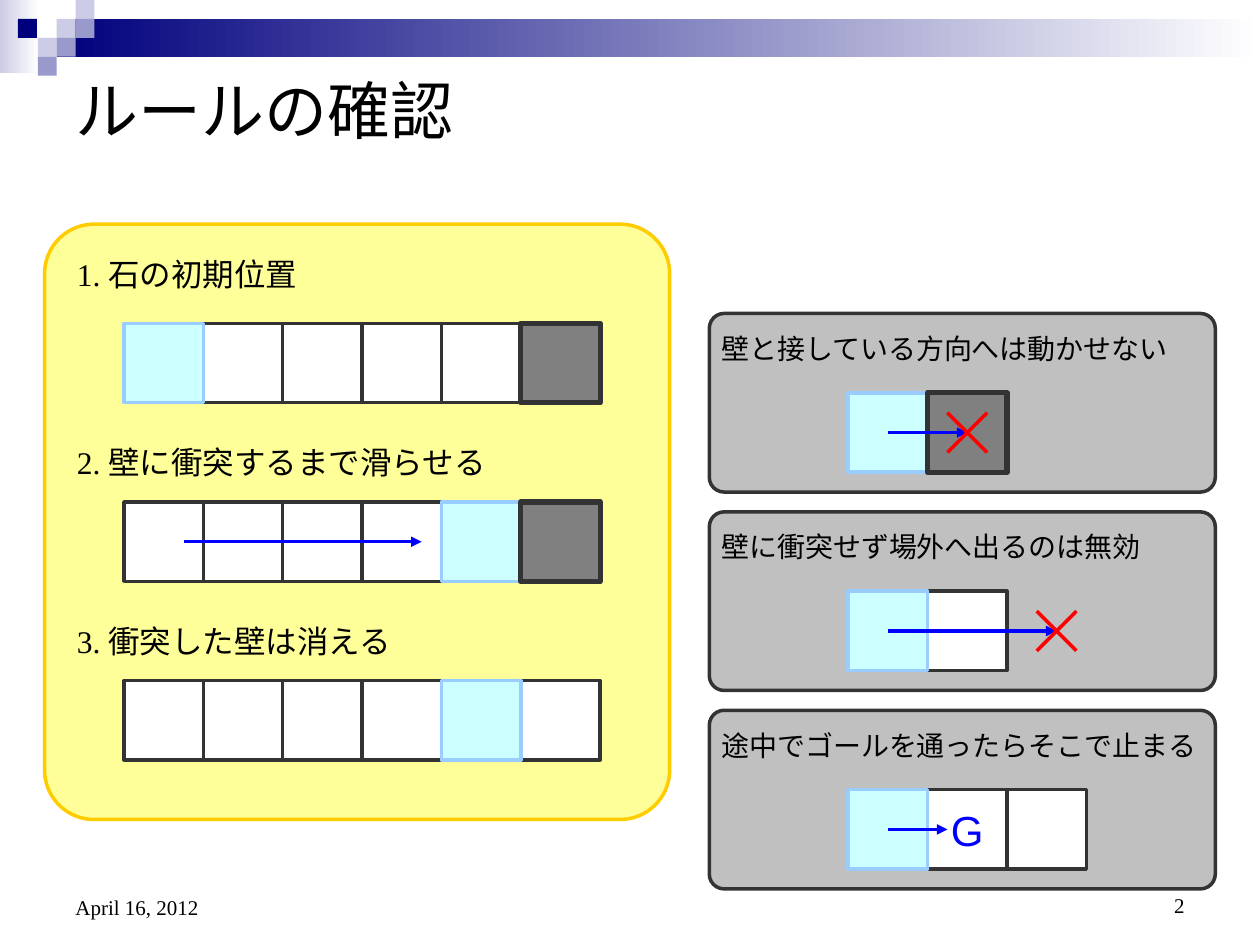
from dataclasses import dataclass

from lxml import etree
from pptx import Presentation
from pptx.dml import color as dml
from pptx.enum import shapes, text
from pptx.oxml import ns
from pptx.util import Inches, Pt


@dataclass(frozen=True)
class Theme:
    navy: str = "00007D"
    mauve: str = "9999CC"
    pale: str = "CCCCE6"
    white: str = "FFFFFF"
    black: str = "000000"
    dark: str = "333333"
    grey: str = "808080"
    silver: str = "C0C0C0"
    cream: str = "FFFF99"
    gold: str = "FFCC00"
    ice: str = "CCFFFF"
    sky: str = "99CCFF"
    blue: str = "0000FF"
    red: str = "FF0000"
    sans: str = "Arial"
    serif: str = "Times New Roman"
    title: int = 36
    goal: int = 24
    step: int = 18
    note: int = 16
    foot: int = 12
    thin: int = 2
    thick: int = 3


@dataclass(frozen=True)
class Box:
    x: float
    y: float
    w: float
    h: float
    unit: float

    def sub(self, col, row, wide, high):
        k = self.unit
        return Box(self.x + col * k, self.y + row * k, wide * k, high * k, k)

    def rect(self):
        return [Inches(v) for v in (self.x, self.y, self.w, self.h)]


T = Theme()
WIDE, HIGH = 10, 7.5
UNIT = WIDE / 63.5
TILE = WIDE * 0.015
CELL = 4
KINDS = {
    ".": (T.white, T.dark, T.thin),
    "G": (T.white, T.dark, T.thin),
    "S": (T.ice, T.sky, T.thin),
    "W": (T.grey, T.dark, T.thick),
}


def put(item, **form):
    for name, value in form.items():
        setattr(item, name, value)


def tint(name):
    return dml.RGBColor.from_string(name)


def block(slide, box, fill, line=None, size=T.thin, curve=None, fade=None):
    kind = shapes.MSO_SHAPE.RECTANGLE if curve is None else shapes.MSO_SHAPE.ROUNDED_RECTANGLE
    shape = slide.shapes.add_shape(kind, *box.rect())
    shape.shadow.inherit = False
    if curve is not None:
        shape.adjustments[0] = curve
    if fade:
        shape.fill.gradient()
        shape.fill.gradient_angle = 0
        for stop, name in zip(shape.fill.gradient_stops, (fill, fade)):
            stop.color.rgb = tint(name)
    else:
        shape.fill.solid()
        shape.fill.fore_color.rgb = tint(fill)
    if line:
        shape.line.color.rgb = tint(line)
        shape.line.width = Pt(size)
    else:
        shape.line.fill.background()
    return shape


def words(shape, copy, size, face, ink=T.black, align="LEFT", anchor="MIDDLE"):
    frame = shape.text_frame
    put(frame, word_wrap=True, vertical_anchor=getattr(text.MSO_ANCHOR, anchor))
    para = frame.paragraphs[0]
    para.alignment = getattr(text.PP_ALIGN, align)
    run = para.add_run()
    run.text = copy
    put(run.font, size=Pt(size), name=face)
    run.font.color.rgb = tint(ink)


def label(slide, box, *args, **form):
    words(slide.shapes.add_textbox(*box.rect()), *args, **form)


def stroke(slide, box, start, end, ink, head=False):
    ends = [Inches(v) for c, r in (start, end)
            for v in (box.x + c * box.unit, box.y + r * box.unit)]
    line = slide.shapes.add_connector(shapes.MSO_CONNECTOR.STRAIGHT, *ends)
    line.line.color.rgb = tint(ink)
    line.line.width = Pt(T.thin)
    if head:
        tail = etree.SubElement(line.line._get_or_add_ln(), ns.qn("a:tailEnd"))
        tail.set("type", "triangle")
    etree.SubElement(line._element.spPr, ns.qn("a:effectLst"))


def track(slide, box, cells, move=None, cross=False):
    for col, kind in sorted(enumerate(cells), key=lambda pair: ".GSW".index(pair[1])):
        cell = block(slide, box.sub(col * CELL, 0, CELL, CELL), *KINDS[kind])
        if kind == "G":
            words(cell, "G", T.goal, T.sans, T.blue, "CENTER")
    if move:
        mid, (start, end) = CELL / 2, move
        stroke(slide, box, (start, mid), (end, mid), T.blue, True)
        if cross:
            for rise in (-1, 1):
                stroke(slide, box, (end - 1, mid + rise), (end + 1, mid - rise), T.red)


def banner(slide, box):
    block(slide, box.sub(0, 0, 2.07, 3.87), T.pale, fade=T.white)
    block(slide, box.sub(3, 1, 63.67, 2), T.navy, fade=T.white)
    tiles = {T.pale: [(3, 1), (4, 0), (2, 2)],
             T.mauve: [(4, 1), (3, 2), (2, 3)],
             T.navy: [(0.95, 1)]}
    for fill, spots in tiles.items():
        for col, row in spots:
            block(slide, box.sub(col, row, 1, 1), fill)


def steps(slide, box):
    block(slide, box, T.cream, T.gold, curve=0.083)
    rows = [("1. 石の初期位置", 1, "S....W", None),
            ("2. 壁に衝突するまで滑らせる", 10.5, "....SW", (3, 15)),
            ("3. 衝突した壁は消える", 19.5, "....S.", None)]
    for num, (copy, top, cells, move) in enumerate(rows):
        label(slide, box.sub(1, top, 30, 3), copy, T.step, T.serif)
        track(slide, box.sub(4, 5 + 9 * num, 24, CELL), cells, move)


def note(slide, box, copy, cells, end, cross):
    block(slide, box, T.silver, T.dark, curve=0.083)
    label(slide, box.sub(0, 0.5, 26.5, 2.5), copy, T.note, T.sans)
    track(slide, box.sub(7, 4, 12, CELL), cells, (2, end), cross)


def notes(slide, box):
    rows = [("壁と接している方向へは動かせない", "SW", 6, True),
            ("壁に衝突せず場外へ出るのは無効", "S.", 10.5, True),
            ("途中でゴールを通ったらそこで止まる", "SG.", 5, False)]
    for num, row in enumerate(rows):
        note(slide, box.sub(0, 10 * num, 25.5, 9), *row)


def footer(slide, box):
    label(slide, box.sub(0, 0, 14.8, 3.3), "April 16, 2012", T.foot, T.serif, anchor="BOTTOM")
    label(slide, box.sub(42.35, 0, 14.8, 3.2), "2", T.foot, T.serif,
          align="RIGHT", anchor="BOTTOM")


def main():
    deck = Presentation()
    put(deck, slide_width=Inches(WIDE), slide_height=Inches(HIGH))
    slide = deck.slides.add_slide(deck.slide_layouts[6])
    page = Box(0, 0, WIDE, HIGH, UNIT)
    banner(slide, Box(0, 0, WIDE, TILE * 4, TILE))
    label(slide, page.sub(3.18, 3.18, 58.1, 4.64), "ルールの確認", T.title, T.sans)
    steps(slide, page.sub(2.25, 11.3, 31.5, 30))
    notes(slide, page.sub(35.75, 15.8, 25.5, 29))
    footer(slide, page.sub(3.18, 43.37, 57.15, 3.3))
    deck.save("out.pptx")


if __name__ == "__main__":
    main()
